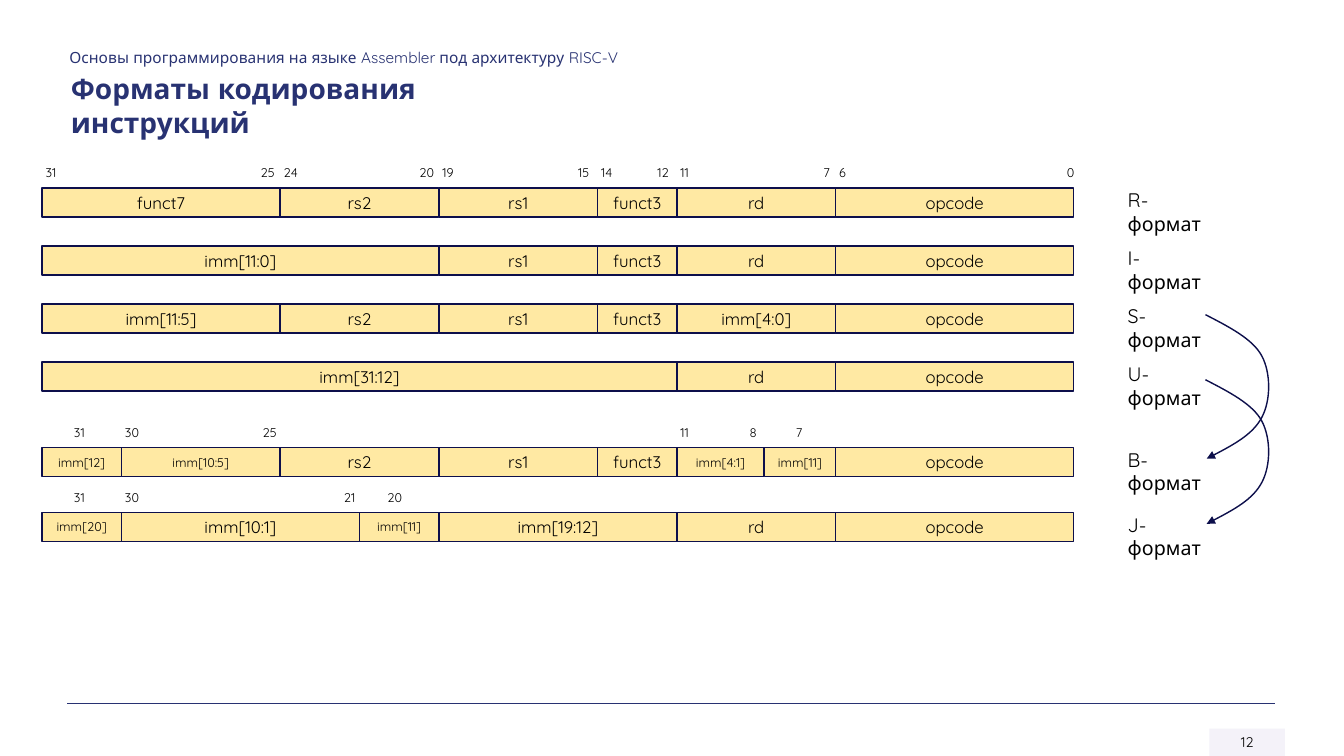
from lxml.etree import SubElement
from pptx import Presentation
from pptx.dml.color import RGBColor
from pptx.enum.shapes import MSO_CONNECTOR, MSO_SHAPE
from pptx.enum.text import MSO_ANCHOR, MSO_AUTO_SIZE, PP_ALIGN
from pptx.oxml.ns import qn
from pptx.util import Cm, Pt

# Content: each row is (format letter, top in cm, cells);
# each cell is (name, width in units, high bit, low bit), bits empty if not shown
SUBTITLE = "Основы программирования на языке Assembler под архитектуру RISC-V"
TITLE = "Форматы кодирования инструкций"
PAGE_NUMBER = "12"
OPCODE = ("opcode", 3, "", "")
RD = ("rd", 2, "", "")
FUNCT3 = ("funct3", 1, "", "")
RS1 = ("rs1", 2, "", "")
RS2 = ("rs2", 2, "", "")
FORMATS = [
    ("R", 4.74, [("funct7", 3, "31", "25"), ("rs2", 2, "24", "20"),
                 ("rs1", 2, "19", "15"), ("funct3", 1, "14", "12"),
                 ("rd", 2, "11", "7"), ("opcode", 3, "6", "0")]),
    ("I", 6.2, [("imm[11:0]", 5, "", ""), RS1, FUNCT3, RD, OPCODE]),
    ("S", 7.66, [("imm[11:5]", 3, "", ""), RS2, RS1, FUNCT3,
                 ("imm[4:0]", 2, "", ""), OPCODE]),
    ("U", 9.12, [("imm[31:12]", 8, "", ""), RD, OPCODE]),
    ("B", 11.28, [("imm[12]", 1, "31", "31"), ("imm[10:5]", 2, "30", "25"),
                  RS2, RS1, FUNCT3, ("imm[4:1]", 1.1, "11", "8"),
                  ("imm[11]", 0.9, "7", "7"), OPCODE]),
    ("J", 12.91, [("imm[20]", 1, "31", "31"), ("imm[10:1]", 3, "30", "21"),
                  ("imm[11]", 1, "20", "20"), ("imm[19:12]", 3, "", ""),
                  RD, OPCODE]),
]
SMALL_NAMES = {"imm[12]", "imm[10:5]", "imm[4:1]", "imm[11]", "imm[20]"}
# Fine horizontal shifts of single bit numbers, cm
NUDGES = {("R", "0"): 0.14, ("B", "25"): 0.05, ("B", "8"): -0.06,
          ("J", "21"): 0.1, ("J", "20"): -0.1}
# Arrow S to B, then U to J: tops in cm and the shared Bezier points
ARROW_TOPS = [7.93, 9.57]
ARROW_LEFT = 30.38
ARROW_CURVE = [(0, 0), (0.58, 0.3), (1.19, 0.61), (1.42, 1.04),
               (1.65, 1.47), (1.65, 2.16), (1.42, 2.59),
               (1.19, 3.02), (0.61, 3.33), (0.03, 3.63)]

FONT = "Quicksand"
NAVY = RGBColor(0x28, 0x32, 0x72)
OUTLINE = RGBColor(0x0D, 0x0F, 0x4B)
YELLOW = RGBColor(0xFF, 0xE9, 0xA3)
LAVENDER = RGBColor(0xF3, 0xF1, 0xF9)
BLACK = RGBColor(0, 0, 0)
GRID_LEFT, UNIT, CELL_HEIGHT = 1.06, 2.0, 0.73
LABEL_LEFT = 28.17


def write(shape, text, size, color=BLACK, align=PP_ALIGN.LEFT,
          anchor=MSO_ANCHOR.TOP, bold=False):
    frame = shape.text_frame
    frame.word_wrap = True
    frame.auto_size = MSO_AUTO_SIZE.NONE
    frame.vertical_anchor = anchor
    frame.text = text
    para = frame.paragraphs[0]
    para.alignment = align
    font = para.runs[0].font
    font.name, font.size, font.bold = FONT, Pt(size), bold
    font.color.rgb = color


def add_text(page, text, left, top, width, height, size, **style):
    box = page.shapes.add_textbox(Cm(left), Cm(top), Cm(width), Cm(height))
    write(box, text, size, **style)
    return box


def add_box(page, left, top, width, height, fill):
    box = page.shapes.add_shape(MSO_SHAPE.RECTANGLE, Cm(left), Cm(top),
                                Cm(width), Cm(height))
    box.shadow.inherit = False
    box.fill.solid()
    box.fill.fore_color.rgb = fill
    return box


def add_cell(page, name, left, top, width):
    cell = add_box(page, left, top, width, CELL_HEIGHT, YELLOW)
    cell.line.color.rgb = OUTLINE
    cell.line.width = Pt(1)
    write(cell, name, 9 if name in SMALL_NAMES else 12,
          align=PP_ALIGN.CENTER, anchor=MSO_ANCHOR.MIDDLE)


def add_bits(page, letter, high, low, left, top, width):
    """High bit at the left edge, low bit at the right, a single bit centred."""
    def add_number(bit, x):
        x += NUDGES.get((letter, bit), 0)
        box = add_text(page, bit, x, top - 0.7, 0.89, 0.64, 9)
        box.text_frame.margin_right = 0

    def box_width(bit):
        return 0.89 if len(bit) == 2 else 0.71

    if high and high == low:
        add_number(high, left + (width - box_width(high)) / 2)
    elif high:
        add_number(high, left - 0.16)
        add_number(low, left + width - box_width(low) + 0.15)


def add_arrow(page, top):
    points = [(Cm(ARROW_LEFT + x), Cm(top + y)) for x, y in ARROW_CURVE]
    builder = page.shapes.build_freeform(*points[0])
    builder.add_line_segments(points[1:], close=False)
    arrow = builder.convert_to_shape()
    arrow.shadow.inherit = False
    arrow.fill.background()
    arrow.line.color.rgb = OUTLINE
    arrow.line.width = Pt(1)
    # Every three segments become one Bezier curve
    outline = arrow.element.find(".//" + qn("a:path"))
    segments = outline.findall(qn("a:lnTo"))
    for start in range(0, len(segments), 3):
        curve = SubElement(outline, qn("a:cubicBezTo"))
        for segment in segments[start:start + 3]:
            curve.append(segment[0])
            outline.remove(segment)
    line = arrow.element.spPr.find(qn("a:ln"))
    SubElement(line, qn("a:tailEnd"), type="triangle")


def main():
    deck = Presentation()
    deck.slide_width, deck.slide_height = Cm(33.87), Cm(19.05)
    page = deck.slides.add_slide(deck.slide_layouts[5])

    # Page number and rule
    number = add_box(page, 30.48, 18.36, 1.9, 0.69, LAVENDER)
    number.line.fill.background()
    write(number, PAGE_NUMBER, 10, align=PP_ALIGN.CENTER)
    tint = number.element.spPr.find(qn("a:solidFill"))[0]
    SubElement(tint, qn("a:alpha"), val="90000")
    rule = page.shapes.add_connector(MSO_CONNECTOR.STRAIGHT, Cm(1.7), Cm(17.73),
                                     Cm(32.13), Cm(17.73))
    rule.line.color.rgb = NAVY
    rule.line.width = Pt(1)
    SubElement(rule.element.spPr, qn("a:effectLst"))

    # Headings
    add_text(page, SUBTITLE, 1.5, 1.09, 26, 0.74, 11, color=NAVY)
    title = page.shapes.title
    title.left, title.top = Cm(1.53), Cm(1.68)
    title.width, title.height = Cm(12.93), Cm(1.96)
    write(title, TITLE, 20, color=NAVY, bold=True)

    # Instruction formats
    for letter, top, cells in FORMATS:
        left = GRID_LEFT
        for name, units, high, low in cells:
            width = units * UNIT
            add_cell(page, name, left, top, width)
            add_bits(page, letter, high, low, left, top, width)
            left += width
        add_text(page, f"{letter}-формат", LABEL_LEFT, top - 0.12, 2.6, 1.45, 14)

    # Arrows between related formats
    for top in ARROW_TOPS:
        add_arrow(page, top)

    deck.save("out.pptx")


if __name__ == "__main__":
    main()
